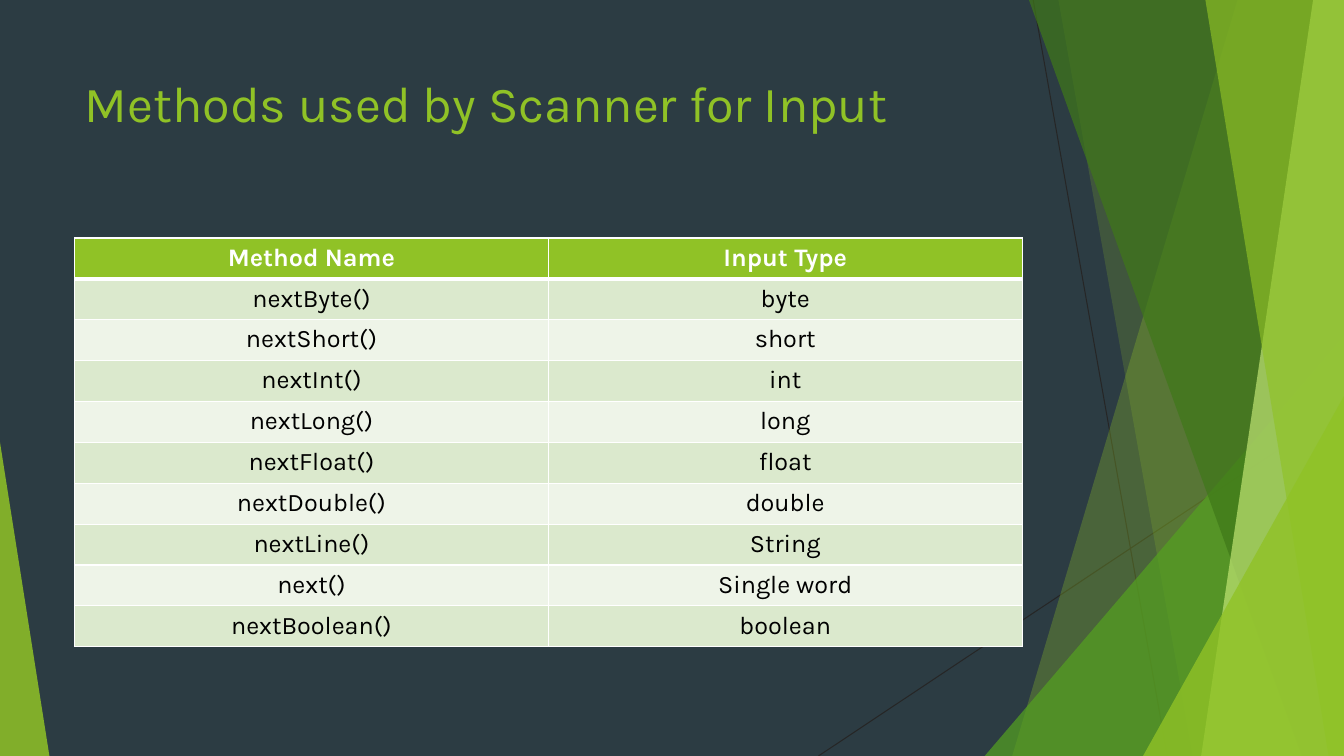
import pptx
import pptx.dml.color
import pptx.enum.shapes
import pptx.enum.text
import pptx.oxml
import pptx.oxml.ns
import pptx.util
from dataclasses import dataclass
from lxml import etree

Pt = pptx.util.Pt
WIDTH, HEIGHT = 960, 540
MARGIN, CONTENT_WIDTH = 53.3, 676.8


@dataclass(frozen=True)
class Theme:
    """Colours, font and type sizes of the slide."""
    font: str = "Karla"
    title_size: int = 36
    table_size: int = 18
    background: str = "2C3C43"
    accent: str = "90C226"
    leaf: str = "54A021"
    forest: str = "3F7819"
    pale: str = "C0E474"
    hairline: str = "262626"
    white: str = "FFFFFF"
    black: str = "000000"
    bands: tuple = ("DBE9CD", "EEF4E8")


theme = Theme()


def paint(fill, colour, opacity=100):
    """Give a fill a solid colour, optionally see-through."""
    fill.solid()
    fill.fore_color.rgb = pptx.dml.color.RGBColor.from_string(colour)
    if opacity < 100:
        for colour_element in fill._xPr.iter(pptx.oxml.ns.qn("a:srgbClr")):
            alpha = etree.SubElement(colour_element, pptx.oxml.ns.qn("a:alpha"))
            alpha.set("val", str(opacity * 1000))


def style_text(paragraph, size, colour, bold=False):
    """Set the font of a whole paragraph."""
    paragraph.font.name = theme.font
    paragraph.font.size = Pt(size)
    paragraph.font.bold = bold
    paragraph.font.color.rgb = pptx.dml.color.RGBColor.from_string(colour)


presentation = pptx.Presentation()
presentation.slide_width, presentation.slide_height = Pt(WIDTH), Pt(HEIGHT)
slide = presentation.slides.add_slide(presentation.slide_layouts[5])
paint(slide.background.fill, theme.background)

# Thin crossing lines
for start_x, start_y, end_x in [(738, 0, 833.8), (WIDTH, 290.2, 584.6)]:
    line = slide.shapes.add_connector(
        pptx.enum.shapes.MSO_CONNECTOR.STRAIGHT,
        Pt(start_x), Pt(start_y), Pt(end_x), Pt(HEIGHT))
    paint(line.line.fill, theme.hairline)
    line.line.width = Pt(0.75)
    etree.SubElement(line._element.spPr, pptx.oxml.ns.qn("a:effectLst"))

# Facets, back to front. A panel runs from its top and bottom x to the right edge;
# a triangle stands on the bottom edge, given by left, top, width and apex.
facets = [
    ("panel", (884.2, 722.9), theme.accent, 30),
    ("panel", (756, 851.8), theme.accent, 20),
    ("triangle", (703.4, 239.8, 256.6, 1), theme.leaf, 72),
    ("panel", (735.1, 929.5), theme.forest, 70),
    ("panel", (938.2, 858.2), theme.pale, 70),
    ("panel", (861.1, 949), theme.accent, 65),
    ("triangle", (816.5, 283, 143.5, 1), theme.accent, 80),
    ("triangle", (0, 316, 35.3, 0), theme.accent, 85),
]
for kind, geometry, colour, opacity in facets:
    if kind == "panel":
        top_x, bottom_x = geometry
        outline = slide.shapes.build_freeform(top_x, 0, scale=Pt(1))
        outline.add_line_segments([(WIDTH, 0), (WIDTH, HEIGHT), (bottom_x, HEIGHT)])
        facet = outline.convert_to_shape()
    else:
        left, top, width, apex = geometry
        facet = slide.shapes.add_shape(
            pptx.enum.shapes.MSO_SHAPE.ISOSCELES_TRIANGLE,
            Pt(left), Pt(top), Pt(width), Pt(HEIGHT - top))
        facet.adjustments[0] = apex
    facet.shadow.inherit = False
    facet.line.fill.background()
    paint(facet.fill, colour, opacity)

title = slide.shapes.title
title.left, title.top = Pt(MARGIN), Pt(48)
title.width, title.height = Pt(CONTENT_WIDTH), Pt(104)
title.text_frame.text = "Methods used by Scanner for Input"
title.text_frame.word_wrap = True
title.text_frame.vertical_anchor = pptx.enum.text.MSO_ANCHOR.TOP
title.text_frame.paragraphs[0].alignment = pptx.enum.text.PP_ALIGN.LEFT
style_text(title.text_frame.paragraphs[0], theme.title_size, theme.accent)

rows = [
    ("Method Name", "Input Type"),
    ("nextByte()", "byte"),
    ("nextShort()", "short"),
    ("nextInt()", "int"),
    ("nextLong()", "long"),
    ("nextFloat()", "float"),
    ("nextDouble()", "double"),
    ("nextLine()", "String"),
    ("next()", "Single word"),
    ("nextBoolean()", "boolean"),
]
table = slide.shapes.add_table(
    len(rows), 2, Pt(MARGIN), Pt(170), Pt(CONTENT_WIDTH), Pt(29.2 * len(rows))).table
for row_index, row in enumerate(rows):
    is_header = row_index == 0
    for column_index, text in enumerate(row):
        cell = table.cell(row_index, column_index)
        cell.text = text
        paragraph = cell.text_frame.paragraphs[0]
        paragraph.alignment = pptx.enum.text.PP_ALIGN.CENTER
        style_text(paragraph, theme.table_size,
                   theme.white if is_header else theme.black, is_header)
        thick_side = {0: "B", 1: "T"}.get(row_index)
        for side in "LRTB":
            width = Pt(3 if side == thick_side else 1)
            cell._tc.get_or_add_tcPr().append(pptx.oxml.parse_xml(
                f'<a:ln{side} {pptx.oxml.ns.nsdecls("a")} w="{width}"><a:solidFill>'
                f'<a:srgbClr val="{theme.white}"/></a:solidFill></a:ln{side}>'))
        paint(cell.fill, theme.accent if is_header else theme.bands[(row_index - 1) % 2])

presentation.save("out.pptx")
